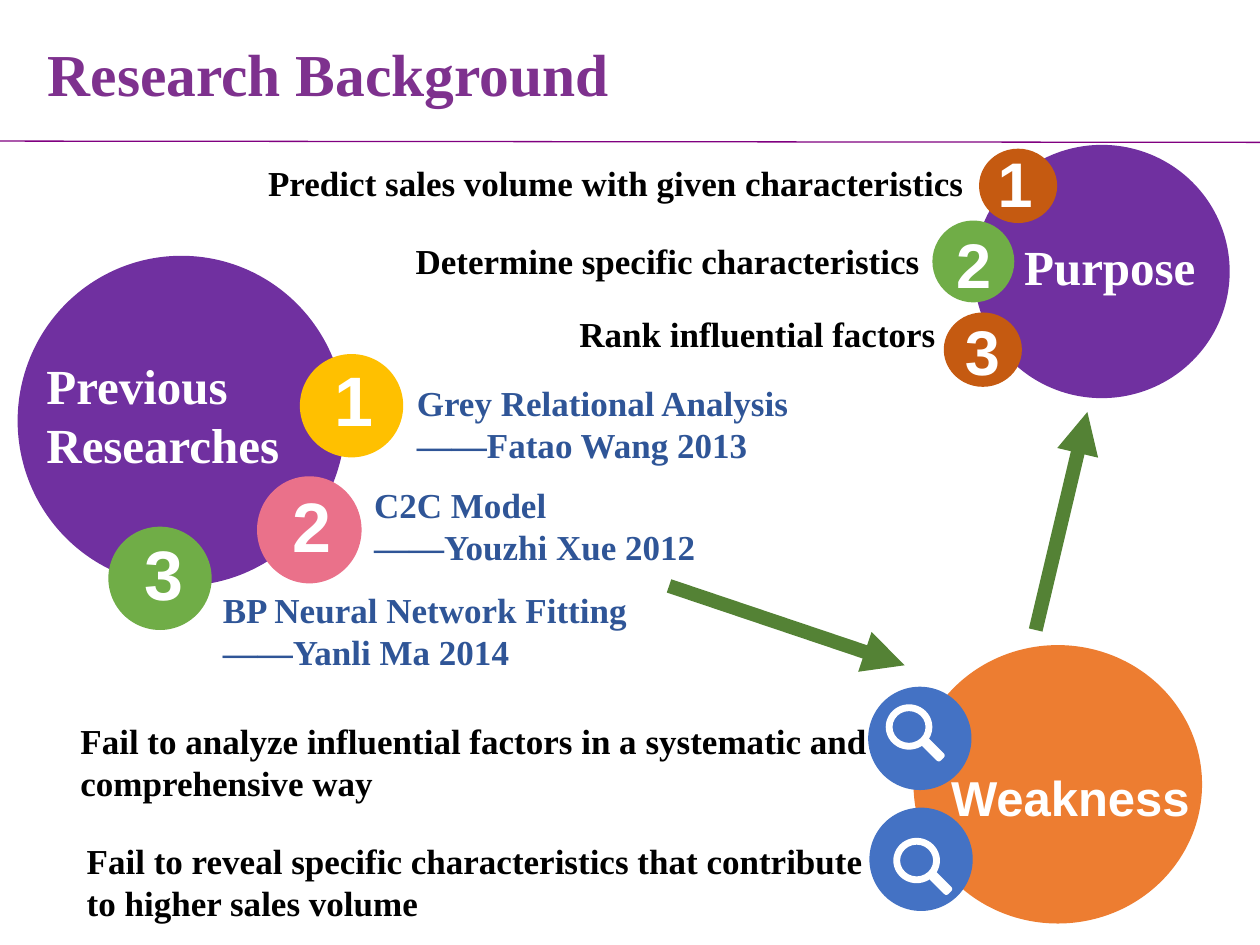
from lxml import etree
from pptx import Presentation
from pptx import util as u
from pptx.dml.color import RGBColor
from pptx.enum import shapes, text
from pptx.oxml import ns

SERIF, SANS = "Times New Roman", "Arial"
PURPLE, GREEN, RUST, WHITE = "7030A0", "70AD47", "C55A11", "FFFFFF"


def colour(hex_string):
    return RGBColor.from_string(hex_string)


def set_values(target, values):
    for name, value in values.items():
        setattr(target, name, value)


def write(frame, words, size, hex_string, font):
    frame.text = words
    for paragraph in frame.paragraphs:
        for run in paragraph.runs:
            set_values(run.font, {"size": u.Pt(size), "name": font, "bold": True})
            run.font.color.rgb = colour(hex_string)


def place(box, part):
    left, top, width, height = part
    return [u.Inches(value) for value in (box[0] + left, box[1] + top, width, height)]


def add_label(slide, box, part, words, size=20, hex_string="000000", font=SERIF):
    label = slide.shapes.add_textbox(*place(box, part))
    label.text_frame.word_wrap = True
    write(label.text_frame, words, size, hex_string, font)


def add_filled(slide, box, part, hex_string, kind=shapes.MSO_SHAPE.OVAL):
    shape = slide.shapes.add_shape(kind, *place(box, part))
    shape.shadow.inherit = False
    shape.fill.solid()
    shape.fill.fore_color.rgb = colour(hex_string)
    shape.line.fill.background()
    return shape


def add_line(slide, start, end, hex_string, width, arrow=False):
    ends = [u.Inches(value) for value in start + end]
    connector = slide.shapes.add_connector(shapes.MSO_CONNECTOR.STRAIGHT, *ends)
    connector.line.color.rgb = colour(hex_string)
    connector.line.width = u.Pt(width)
    if arrow:
        line = connector.line._get_or_add_ln()
        etree.SubElement(line, ns.qn("a:tailEnd"), type="triangle")
    etree.SubElement(connector._element.spPr, ns.qn("a:effectLst"))


def add_magnifier(slide, box):
    lens = add_filled(slide, box, (0, 0, 0.37, 0.36), WHITE, shapes.MSO_SHAPE.DONUT)
    lens.adjustments[0] = 0.15
    handle = add_filled(slide, box, (0.27, 0.32, 0.21, 0.08), WHITE,
                        shapes.MSO_SHAPE.ROUNDED_RECTANGLE)
    set_values(handle, {"rotation": 45})
    handle.adjustments[0] = 0.3


def add_title(slide, box):
    title = slide.shapes.title
    set_values(title, dict(zip(("left", "top", "width", "height"),
                               place(box, (0, 0, *box[2:])))))
    write(title.text_frame, "Research Background", 34, "7E318E", SERIF)
    set_values(title.text_frame, {"word_wrap": False,
                                  "auto_size": text.MSO_AUTO_SIZE.NONE,
                                  "vertical_anchor": text.MSO_ANCHOR.TOP})
    set_values(title.text_frame.paragraphs[0],
               {"alignment": text.PP_ALIGN.LEFT, "line_spacing": 0.9})
    add_line(slide, (0, 1.12), (10, 1.13), "800080", 0.75)


def add_weakness(slide, box):
    add_filled(slide, box, (0.36, 0, 2.29, 2.21), "ED7D31")
    rows = [
        ((0, 0.33), (0.14, 0.47), (-6.35, 0.54),
         "Fail to analyze influential factors in a systematic and comprehensive way"),
        ((0.01, 1.29), (0.2, 1.53), (-6.3, 1.49),
         "Fail to reveal specific characteristics that contribute to higher sales volume"),
    ]
    for disc, icon, label, words in rows:
        add_filled(slide, box, (*disc, 0.82, 0.82), "4472C4")
        add_magnifier(slide, (box[0] + icon[0], box[1] + icon[1]))
        add_label(slide, box, (*label, 6.47, 0.77), words)
    add_label(slide, box, (0.56, 0.92, 2.38, 0.57), "Weakness", 28, WHITE, SANS)


def add_numbered(slide, box, rows, size, label_colour):
    for number, (disc, hex_string, digit, label, words) in enumerate(rows, 1):
        add_filled(slide, box, disc, hex_string)
        add_label(slide, box, digit, str(number), size, WHITE, SANS)
        add_label(slide, box, label, words, hex_string=label_colour)


def add_previous(slide, box):
    add_filled(slide, box, (0, 0, *box[2:]), PURPLE)
    add_numbered(slide, box, [
        ((2.24, 0.78, 0.82, 0.82), "FFC000", (2.42, 0.75, 0.55, 0.77),
         (3.07, 0.95, 3.3, 0.77), "Grey Relational Analysis\n——Fatao Wang 2013"),
        ((1.9, 1.75, 0.83, 0.85), "EA718A", (2.08, 1.75, 0.53, 0.73),
         (2.73, 1.76, 3.58, 0.77), "C2C Model\n——Youzhi Xue 2012"),
        ((0.72, 2.15, 0.82, 0.82), GREEN, (0.91, 2.13, 0.55, 0.77),
         (1.53, 2.59, 4.11, 0.77), "BP Neural Network Fitting\n——Yanli Ma 2014"),
    ], 40, "2F5597")
    add_label(slide, box, (0.13, 0.74, 2.39, 1.04), "Previous Researches", 28, WHITE)


def add_purpose(slide, box):
    add_filled(slide, box, (0, 0, *box[2:]), PURPLE)
    add_numbered(slide, box, [
        ((0.04, 0.03, 0.62, 0.59), RUST, (0.09, -0.05, 0.55, 0.71),
         (-5.7, 0.08, 5.76, 0.44), "Predict sales volume with given characteristics"),
        ((-0.33, 0.6, 0.65, 0.65), GREEN, (-0.24, 0.59, 0.59, 0.71),
         (-4.53, 0.7, 4.23, 0.44), "Determine specific characteristics"),
        ((-0.24, 1.33, 0.62, 0.59), RUST, (-0.17, 1.28, 0.55, 0.71),
         (-3.23, 1.28, 3.04, 0.44), "Rank influential factors"),
    ], 36, "000000")
    add_label(slide, box, (0.3, 0.68, 1.88, 0.57), "Purpose", 28, WHITE)


def main():
    presentation = Presentation()
    set_values(presentation, {"slide_width": u.Inches(10), "slide_height": u.Inches(7.5)})
    slide = presentation.slides.add_slide(presentation.slide_layouts[5])
    add_title(slide, (0.28, 0.31, 4.7, 0.62))
    add_weakness(slide, (6.89, 5.12, 2.65, 2.21))
    add_previous(slide, (0.14, 2.03, 2.6, 2.62))
    add_purpose(slide, (7.73, 1.15, 2.03, 2.01))
    for start, end in [((5.31, 4.65), (7.18, 5.28)), ((8.22, 5), (8.63, 3.27))]:
        add_line(slide, start, end, "548235", 8, arrow=True)
    presentation.save("out.pptx")


if __name__ == "__main__":
    main()
